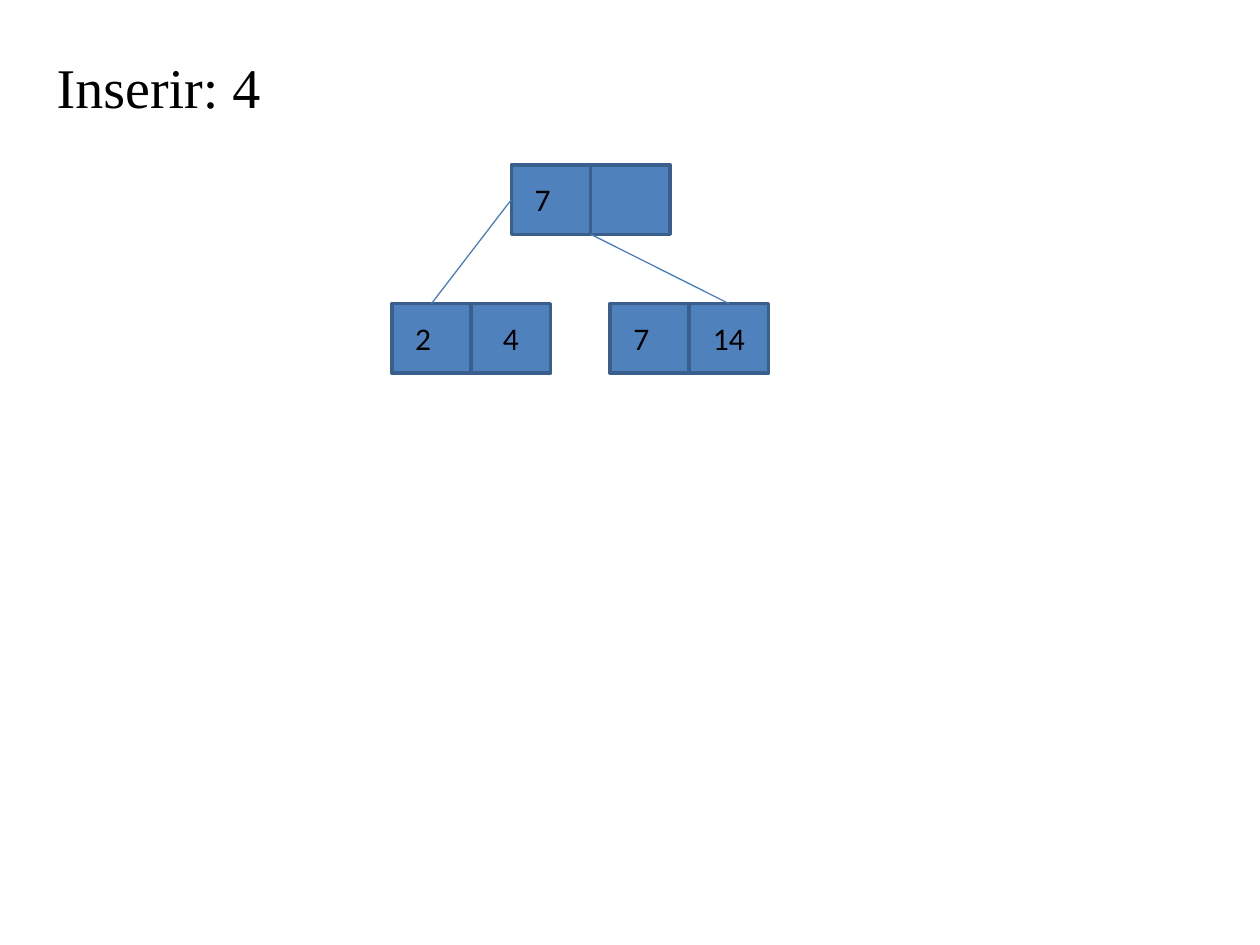
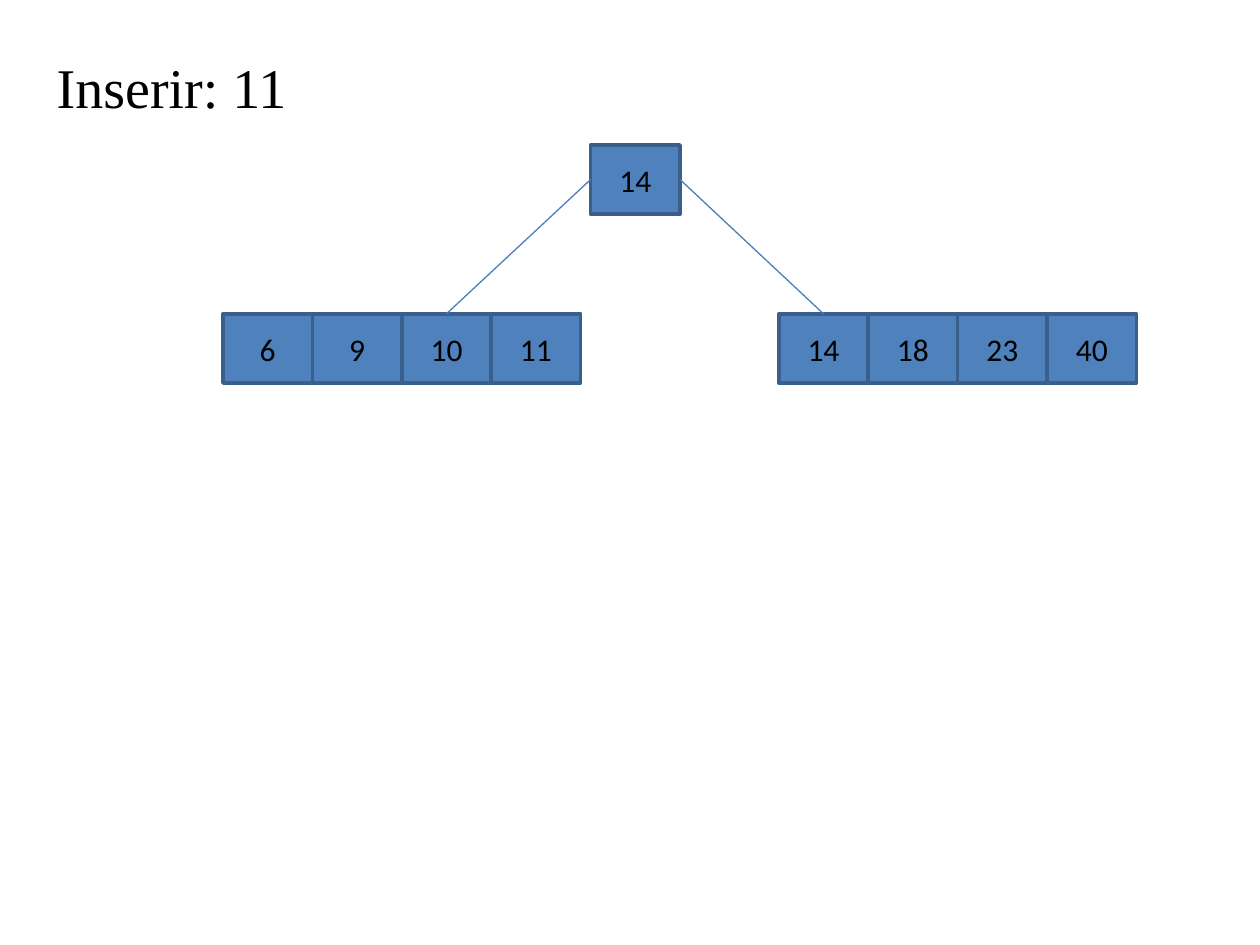
from pptx import Presentation
from pptx.dml.color import RGBColor
from pptx.enum.shapes import MSO_CONNECTOR, MSO_SHAPE
from pptx.enum.text import MSO_ANCHOR, MSO_AUTO_SIZE, PP_ALIGN
from pptx.oxml.ns import qn
from pptx.util import Pt
from lxml.etree import SubElement

HUES = {"cell": "4F81BD", "edge": "3A5F8C", "link": "4B7EBC", "ink": "000000"}
FONTS = {
    "title": {"name": "Times New Roman", "size": Pt(32), "bold": False},
    "key": {"name": "Calibri", "size": Pt(18), "bold": False},
}
FRAMES = {
    "title": {"word_wrap": True, "auto_size": MSO_AUTO_SIZE.NONE,
              "vertical_anchor": MSO_ANCHOR.TOP, "margin_left": Pt(7.2),
              "margin_right": Pt(7.2), "margin_top": Pt(9)},
    "cell": {"word_wrap": True, "vertical_anchor": MSO_ANCHOR.MIDDLE},
    "label": {"word_wrap": True, "auto_size": MSO_AUTO_SIZE.SHAPE_TO_FIT_TEXT},
}
HIGH = 39.6
TOP, LEFT, RIGHT = 0, 1, 3


def hue(name):
    return RGBColor.from_string(HUES[name])


def apply(item, values):
    for name, value in values.items():
        setattr(item, name, value)


class Deck:
    def __init__(self):
        self.prs = Presentation()
        self.prs.slide_width, self.prs.slide_height = Pt(720), Pt(540)
        self.slide = None

    def fill_text(self, shape, text, frame, font, align):
        apply(shape.text_frame, FRAMES[frame])
        para = shape.text_frame.paragraphs[0]
        apply(para, {"alignment": align, "space_before": Pt(0)})
        run = para.add_run()
        run.text = text
        apply(run.font, FONTS[font])
        run.font.color.rgb = hue("ink")

    def page(self, text, wide, high):
        self.slide = self.prs.slides.add_slide(self.prs.slide_layouts[5])
        title = self.slide.shapes.title
        apply(title, {"left": Pt(25.2), "top": Pt(20.9),
                      "width": Pt(wide), "height": Pt(high)})
        self.fill_text(title, text, "title", "title", PP_ALIGN.JUSTIFY)

    def cell(self, x, y, wide, text=""):
        box = self.slide.shapes.add_shape(
            MSO_SHAPE.RECTANGLE, Pt(x), Pt(y), Pt(wide), Pt(HIGH))
        box.shadow.inherit = False
        box.fill.solid()
        box.fill.fore_color.rgb = hue("cell")
        box.line.color.rgb = hue("edge")
        box.line.width = Pt(2)
        if text:
            self.fill_text(box, text, "cell", "key", PP_ALIGN.CENTER)
        return box

    def label(self, x, y, text):
        box = self.slide.shapes.add_textbox(Pt(x), Pt(y), Pt(33.8), Pt(28.8))
        self.fill_text(box, text, "label", "key", PP_ALIGN.LEFT)

    def node(self, x, y, wide, keys):
        return [self.cell(x + i * wide, y, wide, key)
                for i, key in enumerate(keys)]

    def pair(self, x, y, wide, first, second=""):
        cells = self.node(x, y, wide, ["", second])
        self.label(x + 6.3, y + 5, first)
        return cells

    def link(self, start, side, child):
        line = self.slide.shapes.add_connector(
            MSO_CONNECTOR.STRAIGHT, start.left + start.width,
            start.top + start.height, child.left, child.top)
        if side is not None:
            line.begin_connect(start, side)
        line.end_connect(child, TOP)
        line.line.color.rgb = hue("link")
        line.line.width = Pt(0.75)
        SubElement(line._element.spPr, qn("a:effectLst"))


def main():
    deck = Deck()

    deck.page("Inserir: 4", 324, 67.7)
    wide, low = 45.36, 173.5
    small = deck.pair(223.9, low, wide, "2", "4")
    large = deck.pair(348.5, low, wide, "7", "14")
    root = deck.pair(292.2, 94.3, wide, "7")
    deck.link(root[0], LEFT, small[0])
    deck.link(root[0], None, large[1])

    deck.page("Inserir: 11", 380.2, 73.4)
    wide, low = 51.1, 179.3
    small = deck.node(127.4, low, wide, ["6", "9", "10", "11"])
    large = deck.node(445, low, wide, ["14", "18", "23", "40"])
    root = deck.cell(337.5, 82.8, wide, "14")
    deck.link(root, LEFT, small[2])
    deck.link(root, RIGHT, large[0])

    deck.prs.save("out.pptx")


if __name__ == "__main__":
    main()
